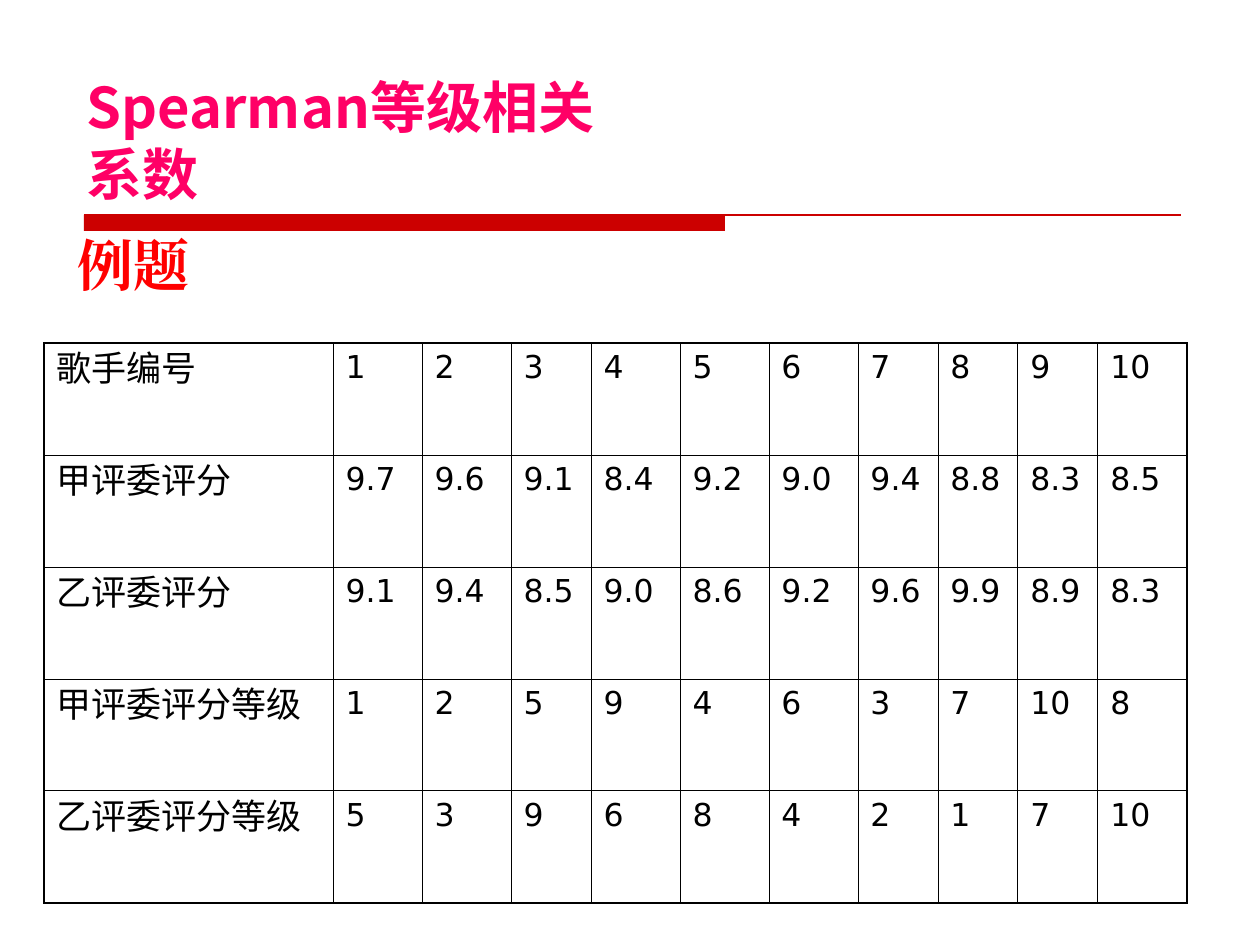
from lxml.etree import SubElement
from pptx import Presentation
from pptx.dml.color import RGBColor
from pptx.enum.shapes import MSO_CONNECTOR, MSO_SHAPE
from pptx.enum.text import MSO_ANCHOR, MSO_AUTO_SIZE, PP_ALIGN
from pptx.oxml import parse_xml
from pptx.oxml.ns import nsdecls, qn
from pptx.util import Pt

COLORS = {"title": "FF0066", "example": "FF0000", "rule": "CC0000", "ink": "000000"}
TITLE_FONT, EXAMPLE_FONT, TABLE_FONT = "Noto Sans CJK SC", "Times New Roman", "DejaVu Sans"
OUTER, INNER = 1.08, 0.45  # border widths in points


def px(length):
    return round(length * 914400 / 126)


def rgb(name):
    return RGBColor.from_string(COLORS[name])


class SlideBuilder:
    def __init__(self, slide):
        self.slide = slide
        self.shapes = slide.shapes

    def style(self, paragraph, font_name, size, color, bold=False):
        font = paragraph.font
        font.name, font.size, font.bold = font_name, Pt(size), bold
        font.color.rgb = rgb(color)
        # East Asian text takes its own typeface
        SubElement(font._element, qn("a:ea")).set("typeface", font_name)
        paragraph.alignment = PP_ALIGN.LEFT

    def heading(self, shape, text, font_name, color, wrap):
        frame = shape.text_frame
        frame.text = text
        frame.word_wrap = wrap
        frame.auto_size = MSO_AUTO_SIZE.SHAPE_TO_FIT_TEXT
        frame.vertical_anchor = MSO_ANCHOR.TOP
        self.style(frame.paragraphs[0], font_name, 32, color, bold=True)

    def title(self, text, left, top, width, height):
        title = self.shapes.title
        title.left, title.top, title.width, title.height = map(px, (left, top, width, height))
        self.heading(title, text, TITLE_FONT, "title", wrap=True)

    def label(self, text, left, top, width, height):
        box = self.shapes.add_textbox(*map(px, (left, top, width, height)))
        self.heading(box, text, EXAMPLE_FONT, "example", wrap=False)

    def bar(self, left, top, width, height):
        bar = self.shapes.add_shape(MSO_SHAPE.RECTANGLE, *map(px, (left, top, width, height)))
        bar.shadow.inherit = False
        bar.fill.solid()
        bar.fill.fore_color.rgb = rgb("rule")
        bar.line.fill.background()

    def line(self, left, top, width):
        line = self.shapes.add_connector(
            MSO_CONNECTOR.STRAIGHT, px(left), px(top), px(left + width), px(top))
        line.line.color.rgb = rgb("rule")
        line.line.width = Pt(0.75)
        SubElement(line._element.spPr, qn("a:effectLst"))

    def borders(self, cell, widths):
        properties = cell._tc.get_or_add_tcPr()
        for side, width in zip("LRTB", widths):
            properties.append(parse_xml(
                f'<a:ln{side} {nsdecls("a")} w="{Pt(width)}"><a:solidFill>'
                f'<a:srgbClr val="{COLORS["ink"]}"/></a:solidFill></a:ln{side}>'))

    def table(self, rows, left, top, col_widths, row_height):
        last_row, last_col = len(rows) - 1, len(col_widths) - 1
        table = self.shapes.add_table(
            len(rows), len(col_widths), px(left), px(top),
            px(sum(col_widths)), px(row_height * len(rows))).table
        table.first_row = table.horz_banding = False
        for column, width in zip(table.columns, col_widths):
            column.width = px(width)
        for r, row in enumerate(rows):
            table.rows[r].height = px(row_height)
            for c, text in enumerate(row):
                cell = table.cell(r, c)
                cell.text = text
                size = 18 if c else 20
                paragraph = cell.text_frame.paragraphs[0]
                paragraph.space_before = Pt(size / 4)
                self.style(paragraph, TABLE_FONT, size, "ink")
                on_edge = (c == 0, c == last_col, r == 0, r == last_row)
                self.borders(cell, [OUTER if edge else INNER for edge in on_edge])
                cell.fill.background()


def main():
    deck = Presentation()
    deck.slide_width, deck.slide_height = px(1260), px(945)
    builder = SlideBuilder(deck.slides.add_slide(deck.slide_layouts[5]))

    # Title and the rule below it
    builder.bar(84, 215, 641, 16)
    builder.line(84, 215, 1097)
    builder.title("Spearman等级相关系数", 74, 66, 588, 147)

    # Scores and ranks of the ten singers
    scores = {
        "歌手编号": "1 2 3 4 5 6 7 8 9 10",
        "甲评委评分": "9.7 9.6 9.1 8.4 9.2 9.0 9.4 8.8 8.3 8.5",
        "乙评委评分": "9.1 9.4 8.5 9.0 8.6 9.2 9.6 9.9 8.9 8.3",
        "甲评委评分等级": "1 2 5 9 4 6 3 7 10 8",
        "乙评委评分等级": "5 3 9 6 8 4 2 1 7 10",
    }
    wide, narrow = 89, 80
    singer_widths = [narrow if singer in (3, 7, 8, 9) else wide for singer in range(1, 11)]
    builder.table([[name, *values.split()] for name, values in scores.items()],
                  44, 343, [289, *singer_widths], 112)

    # Example heading
    builder.label("例题", 65, 224, 137, 81)

    deck.save("out.pptx")


if __name__ == "__main__":
    main()
